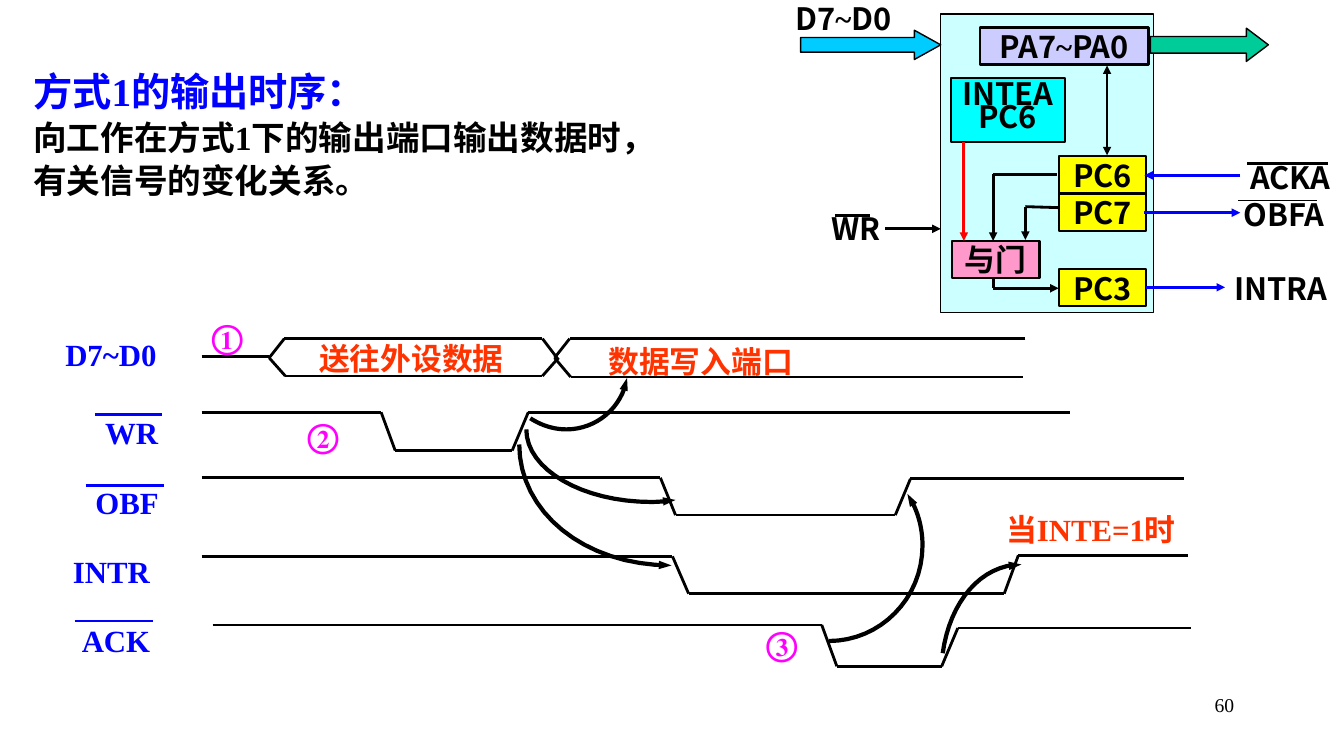
"""Build the slide on the output timing of mode 1."""
from itertools import groupby, pairwise

from lxml import etree
from pptx import Presentation
from pptx.dml.color import RGBColor
from pptx.enum.shapes import MSO_CONNECTOR, MSO_SHAPE
from pptx.enum.text import MSO_ANCHOR, PP_ALIGN
from pptx.oxml.ns import qn
from pptx.util import Cm, Pt

STRAIGHT = MSO_CONNECTOR.STRAIGHT
RECT = MSO_SHAPE.RECTANGLE
ARROW = MSO_SHAPE.RIGHT_ARROW
LEFT, MID, RIGHT = PP_ALIGN.LEFT, PP_ALIGN.CENTER, PP_ALIGN.RIGHT
TOP, HALF = MSO_ANCHOR.TOP, MSO_ANCHOR.MIDDLE

SERIF, SANS = "Times New Roman", "Noto Sans CJK SC"
BLACK = RGBColor(0, 0, 0)
BLUE = RGBColor(0, 0, 255)
RED = RGBColor(255, 0, 0)
ORANGE = RGBColor(255, 51, 0)
PINK = RGBColor(255, 0, 255)
ROSE = RGBColor(255, 153, 204)
YELLOW = RGBColor(255, 255, 0)
CYAN = RGBColor(0, 255, 255)
PALE = RGBColor(204, 255, 255)
LILAC = RGBColor(204, 204, 255)
SKY = RGBColor(0, 204, 255)
GREEN = RGBColor(0, 204, 153)

WAVES = [
    [(2, 3.54), (2.67, 3.54)],
    [(5.54, 3.57), (5.38, 3.36), (2.82, 3.36), (2.67, 3.55), (2.83, 3.73),
     (5.38, 3.73), (5.53, 3.56)],
    [(10.17, 3.36), (5.65, 3.36), (5.5, 3.55), (5.66, 3.74), (10.15, 3.74)],
    [(2, 4.09), (3.78, 4.09), (3.92, 4.47), (5.08, 4.47), (5.24, 4.09),
     (10.61, 4.09)],
    [(2, 4.74), (6.55, 4.74), (6.7, 5.11), (8.88, 5.11), (9.03, 4.75),
     (11.74, 4.75)],
    [(2, 5.52), (6.67, 5.52), (6.83, 5.89), (9.96, 5.89), (10.1, 5.51),
     (11.78, 5.51)],
    [(2.11, 6.2), (8.15, 6.2), (8.3, 6.61), (9.34, 6.61), (9.5, 6.23),
     (11.81, 6.23)],
]

CURVES = [
    [(8.22, 6.36), (8.73, 6.36), (9.15, 5.94), (9.15, 5.41),
     (9.15, 5.23), (9.1, 5.05), (9, 4.9)],
    [(9.35, 6.48), (9.42, 5.97), (9.73, 5.6), (10.13, 5.6)],
    [(5.15, 4.41), (5.15, 5.07), (5.78, 5.61), (6.66, 5.61)],
    [(5.26, 4.15), (5.37, 4.22), (5.49, 4.26), (5.62, 4.26),
     (5.91, 4.26), (6.17, 4.05), (6.22, 3.75)],
    [(5.22, 4.26), (5.22, 4.66), (5.78, 4.98), (6.46, 4.98),
     (6.54, 4.98), (6.62, 4.97), (6.7, 4.96)],
]

SIGNALS = [
    ("D7~D0", (0.33, 3.3, 1.54, 0.42)),
    ("WR", (0.89, 4.08, 0.83, 0.42)),
    ("OBF", (0.63, 4.77, 1.26, 0.42)),
    ("INTR", (0.44, 5.45, 1.33, 0.44)),
    ("ACK", (0.41, 6.14, 1.48, 0.42)),
]
BARS = [(0.94, 1.61, 4.11), (0.85, 1.63, 4.82), (0.74, 1.52, 6.16)]
NOTES = [
    ("送往外设数据", (2.85, 3.34, 2.46, 0.42), SANS),
    ("数据写入端口", (5.72, 3.37, 2.46, 0.42), SANS),
    ("当INTE=1时", (9.48, 5.04, 2.68, 0.42), SERIF),
]
PINS = [
    ("OBFA", (12.2, 1.94, 1.07, 0.37)),
    ("ACKA", (12.26, 1.57, 1.07, 0.37)),
    ("INTRA", (12.07, 2.67, 1.26, 0.37)),
    ("WR", (8.22, 2.08, 0.54, 0.37)),
    ("D7~D0", (7.78, 0, 1.17, 0.37)),
]
PORTS = [("PC6", 1.55), ("PC7", 1.92), ("PC3", 2.67)]
WIRES = [
    ([(9.56, 1.41), (9.56, 2.39)], RED),
    ([(10.48, 1.73), (9.85, 1.73), (9.85, 2.39)], BLACK),
    ([(10.5, 2.06), (10.17, 2.05), (10.17, 2.38)], BLACK),
    ([(9.85, 2.75), (9.85, 2.86), (10.5, 2.86)], BLACK),
    ([(12.3, 1.74), (11.35, 1.74)], BLUE),
    ([(11.35, 2.11), (12.3, 2.11)], BLUE),
    ([(11.37, 2.85), (12.15, 2.85)], BLUE),
    ([(8.78, 2.27), (9.33, 2.27)], BLACK),
]


def size(inches):
    """Turn inches into a length."""
    return Cm(inches * 2.54)


def write(frame, lines, pt=22, color=BLACK, face=SANS, east=SANS, align=MID,
          anchor=HALF, pad=0, bold=True, space=None, after=None):
    """Fill a text frame with lines, the tilde in its own run."""
    frame.word_wrap = True
    frame.vertical_anchor = anchor
    frame.margin_left = frame.margin_right = size(pad)
    frame.margin_top = frame.margin_bottom = size(pad / 2)
    for row, line in enumerate(lines):
        para = frame.paragraphs[0] if row == 0 else frame.add_paragraph()
        para.alignment = align
        para.line_spacing = space
        para.space_after = after
        for tilde, part in groupby(line, lambda char: char == "~"):
            run = para.add_run()
            run.text = "".join(part)
            font = run.font
            font.size, font.bold = Pt(pt), bold
            font.color.rgb = color
            font.name = SERIF if tilde else face
            props = run._r.get_or_add_rPr()
            etree.SubElement(props, qn("a:ea")).set("typeface", east)


def label(slide, lines, place, **look):
    """Add a text box."""
    box = slide.shapes.add_textbox(*map(size, place))
    write(box.text_frame, lines, **look)
    return box


def block(slide, kind, place, fill, width=1.5, lines=(), space=None):
    """Add a filled shape with an optional text."""
    shape = slide.shapes.add_shape(kind, *map(size, place))
    shape.shadow.inherit = False
    shape.fill.solid()
    shape.fill.fore_color.rgb = fill
    shape.line.color.rgb = BLACK
    shape.line.width = Pt(width)
    if lines:
        write(shape.text_frame, lines, space=space)
    return shape


def tip(shape, end, width="med"):
    """Put an arrowhead on one end of a line."""
    line = shape.element.spPr.find(qn("a:ln"))
    head = etree.SubElement(line, qn(end))
    head.set("type", "triangle")
    head.set("w", width)


def chain(slide, points, color=BLACK, width=2):
    """Join points with straight lines and return the last one."""
    for start, stop in pairwise(points):
        line = slide.shapes.add_connector(STRAIGHT, *map(size, start + stop))
        line.line.color.rgb = color
        line.line.width = Pt(width)
        etree.SubElement(line.element.spPr, qn("a:effectLst"))
    return line


def bend(knots, step):
    """Give the point at a step from 0 to 1 on a cubic curve."""
    rest = 1 - step
    parts = (rest ** 3, 3 * rest ** 2 * step, 3 * rest * step ** 2, step ** 3)
    return tuple(size(sum(part * knot[axis] for part, knot in zip(parts, knots)))
                 for axis in (0, 1))


def curve(slide, knots, count=16):
    """Draw joined cubic curves that end in an arrowhead."""
    points = [bend(knots[first:first + 4], step / count)
              for first in range(0, len(knots) - 1, 3)
              for step in range(1, count + 1)]
    path = slide.shapes.build_freeform(*map(size, knots[0]), scale=1.0)
    path.add_line_segments(points, close=False)
    shape = path.convert_to_shape()
    shape.shadow.inherit = False
    shape.fill.background()
    shape.line.color.rgb = BLACK
    shape.line.width = Pt(3)
    tip(shape, "a:tailEnd", "sm")


def timing(slide):
    """Draw the timing chart with its labels."""
    for points in WAVES:
        chain(slide, points)
    for name, place in SIGNALS:
        label(slide, [name], place, color=BLUE, face=SERIF)
    for left, right, top in BARS:
        chain(slide, [(left, top), (right, top)], BLUE)
    for note, place, face in NOTES:
        label(slide, [note], place, color=ORANGE, face=face)
    mark = dict(pt=24, color=PINK, face=SERIF, east=SERIF)
    label(slide, ["①"], (2, 3.08, 0.63, 0.5), align=LEFT, pad=0.1, **mark)
    label(slide, ["②"], (2.89, 4.11, 0.63, 0.42), **mark)
    label(slide, ["③"], (7.44, 6.17, 0.63, 0.42), **mark)
    for knots in CURVES:
        curve(slide, knots)


def chip(slide):
    """Draw the port block with its wires."""
    block(slide, RECT, (9.33, 0.14, 2.11, 2.96), PALE, 1)
    block(slide, RECT, (9.72, 0.27, 1.67, 0.37), LILAC, 2, ["PA7~PA0"])
    for name, top in PORTS:
        block(slide, RECT, (10.5, top, 0.87, 0.37), YELLOW, lines=[name])
    block(slide, RECT, (9.43, 0.77, 1.13, 0.64), CYAN,
          lines=["INTEA", "PC6"], space=0.64)
    block(slide, RECT, (9.44, 2.39, 0.87, 0.37), ROSE, lines=["与门"])
    link = chain(slide, [(10.98, 0.65), (10.98, 1.54)])
    tip(link, "a:headEnd")
    tip(link, "a:tailEnd")
    for points, color in WIRES:
        tip(chain(slide, points, color), "a:tailEnd")
    for name, place in PINS:
        label(slide, [name], place)
    chain(slide, [(12.37, 1.62), (13.17, 1.62)])
    chain(slide, [(8.28, 2.14), (8.63, 2.14)])
    chain(slide, [(12.28, 1.99), (13.06, 1.99)], width=0.75)
    for place, fill, point in (((7.94, 0.3, 1.39, 0.29), SKY, 0.9),
                               ((11.41, 0.28, 1.17, 0.33), GREEN, 0.66)):
        block(slide, ARROW, place, fill, 1).adjustments[1] = point


def main():
    """Build and save the slide."""
    deck = Presentation()
    deck.slide_width, deck.slide_height = size(13.33), size(7.5)
    slide = deck.slides.add_slide(deck.slide_layouts[6])
    label(slide, ["60"], (9.56, 6.83, 2.78, 0.5), pt=14, face=SERIF,
          align=RIGHT, anchor=TOP, pad=0.1, bold=False)
    timing(slide)
    intro = label(slide, ["方式1的输出时序：", "向工作在方式1下的输出端口输出数据时，",
                          "有关信号的变化关系。"], (0.33, 0.58, 8.33, 1.5),
                  pt=24, face=SERIF, align=LEFT, after=Pt(2))
    for run in intro.text_frame.paragraphs[0].runs:
        run.font.size = Pt(28)
        run.font.color.rgb = BLUE
    chip(slide)
    deck.save("out.pptx")


if __name__ == "__main__":
    main()
